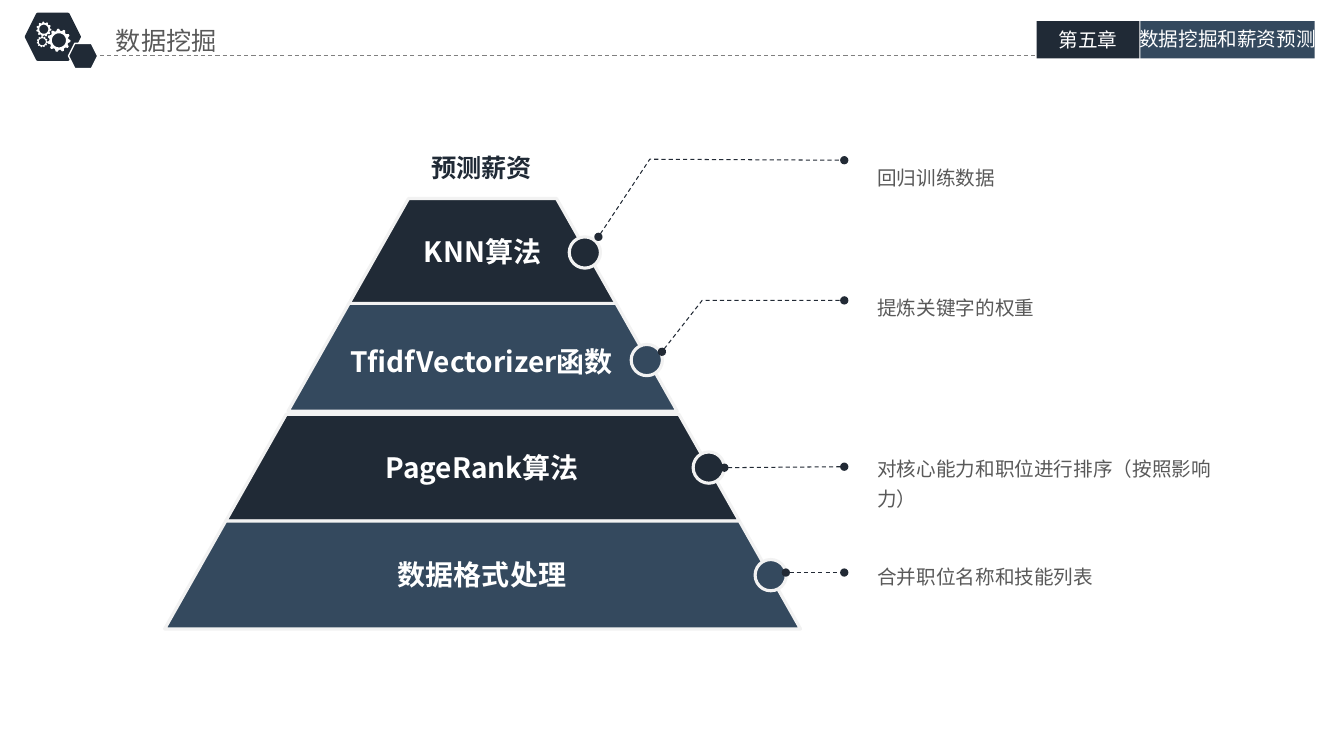
"""Build the data-mining pyramid slide with its callouts and chapter header."""
from math import cos, pi, sin

from lxml.etree import SubElement
from pptx import Presentation
from pptx.dml.color import RGBColor
from pptx.enum.dml import MSO_LINE
from pptx.enum.shapes import MSO_CONNECTOR, MSO_SHAPE as SHAPE
from pptx.enum.text import PP_ALIGN as ALIGN
from pptx.oxml.ns import qn
from pptx.util import Inches, Pt

NAVY, STEEL, WHITE, GREY = "202A36", "34495E", "FFFFFF", "595959"
RIM, LEADER, RULE = "F2F2F2", "222A35", "808080"
CJK = "Noto Sans CJK SC"
rgb = RGBColor.from_string

deck = Presentation()
deck.slide_width, deck.slide_height = Inches(13.34), Inches(7.5)
shapes = deck.slides.add_slide(deck.slide_layouts[6]).shapes


def paint(shape, fill, line=None, width=0):
    shape.shadow.inherit = False
    shape.fill.solid()
    shape.fill.fore_color.rgb = rgb(fill)
    if line:
        shape.line.color.rgb = rgb(line)
        shape.line.width = Pt(width)
    else:
        shape.line.fill.background()


def write(text, box, size, color, align=ALIGN.LEFT, bold=False,
          inset=(0.07, 0.04), spacing=1.0, wrap=True, face=CJK):
    frame = shapes.add_textbox(*map(Inches, box)).text_frame
    frame.word_wrap = wrap
    frame.margin_left = frame.margin_right = Inches(inset[0])
    frame.margin_top = frame.margin_bottom = Inches(inset[1])
    paragraph = frame.paragraphs[0]
    paragraph.text = text
    paragraph.alignment = align
    paragraph.line_spacing = spacing
    font = paragraph.font
    font.size, font.bold, font.name = Pt(size), bold, face
    font.color.rgb = rgb(color)
    SubElement(font._element, qn("a:ea"), typeface=CJK)


bands = [
    (1.97, 3.04, NAVY, "KNN算法", (3.77, 2.3, 2.04, 0.4), ALIGN.CENTER),
    (3.01, 4.08, STEEL, "TfidfVectorizer函数", (3.41, 3.39, 3.13, 0.4), ALIGN.LEFT),
    (4.11, 5.17, NAVY, "PageRank算法", (3.22, 4.44, 3.13, 0.4), ALIGN.CENTER),
    (5.17, 6.24, STEEL, "数据格式处理", (3.22, 5.5, 3.13, 0.4), ALIGN.CENTER),
]
axis, apex_half, slope = 4.79, 0.735, 0.567
for top, bottom, color, *_ in bands:
    upper = apex_half + slope * (top - 1.97)
    lower = apex_half + slope * (bottom - 1.97)
    outline = shapes.build_freeform(Inches(axis - upper), Inches(top))
    outline.add_line_segments([(Inches(x), Inches(y)) for x, y in (
        (axis - lower, bottom), (axis + lower, bottom), (axis + upper, top))])
    paint(outline.convert_to_shape(), color, RIM, 2.25)

for level, (_, _, color, label, box, align) in enumerate(bands):
    knob = shapes.add_shape(SHAPE.OVAL, Inches(5.65 + 0.615 * level),
                            Inches(2.35 + 1.067 * level), Inches(0.31), Inches(0.31))
    paint(knob, color, RIM, 2.25)
    write(label, box, 20, WHITE, align, bold=True, inset=(0.07, 0.03))

write("预测薪资", (4.18, 1.46, 1.21, 0.4), 18, NAVY, bold=True,
      inset=(0.1, 0.05), wrap=False, face="Arial")

for text, top, width in [
    ("回归训练数据", 1.53, 3.26),
    ("提炼关键字的权重", 2.82, 3.26),
    ("对核心能力和职位进行排序（按照影响力）", 4.41, 3.88),
    ("合并职位名称和技能列表", 5.49, 3.26),
]:
    write(text, (8.61, top, width, 0.38), 14, GREY, inset=(0.1, 0.05), spacing=1.3)

for route, color, dotted_ends in [
    ([(5.94, 2.35), (6.45, 1.58), (8.38, 1.59)], LEADER, True),
    ([(6.57, 3.49), (6.97, 2.98), (8.38, 2.98)], LEADER, True),
    ([(7.19, 4.64), (8.38, 4.63)], LEADER, True),
    ([(7.8, 5.68), (8.38, 5.68)], LEADER, True),
    ([(0.92, 0.55), (10.29, 0.55)], RULE, False),
]:
    start, *rest = [(Inches(x), Inches(y)) for x, y in route]
    if len(rest) == 1:
        leader = shapes.add_connector(MSO_CONNECTOR.STRAIGHT, *start, *rest[0])
    else:
        bend = shapes.build_freeform(*start)
        bend.add_line_segments(rest, close=False)
        leader = bend.convert_to_shape()
        leader.fill.background()
    leader.line.color.rgb = rgb(color)
    leader.line.width = Pt(0.75)
    leader.line.dash_style = MSO_LINE.DASH
    if dotted_ends:
        for end in ("a:headEnd", "a:tailEnd"):
            SubElement(leader.line._get_or_add_ln(), qn(end), type="oval")
    SubElement(leader._element.spPr, qn("a:effectLst"))

for kind, box, fill, line, width in [
    (SHAPE.HEXAGON, (0.26, 0.14, 0.53, 0.45), NAVY, NAVY, 2),
    (SHAPE.RECTANGLE, (10.29, 0.21, 1.02, 0.37), NAVY, None, 0),
    (SHAPE.RECTANGLE, (11.32, 0.21, 1.73, 0.37), STEEL, None, 0),
    (SHAPE.HEXAGON, (0.68, 0.43, 0.29, 0.25), NAVY, WHITE, 1),
]:
    paint(shapes.add_shape(kind, *map(Inches, box)), fill, line, width)

write("数据挖掘", (1.08, 0.21, 2.05, 0.38), 18, GREY)
write("第五章", (10.29, 0.24, 1.02, 0.31), 14, WHITE, ALIGN.CENTER)
write("数据挖掘和薪资预测", (11.17, 0.23, 2.03, 0.31), 14, WHITE, ALIGN.CENTER)

teeth = 11
for x, y, tip, hole in [(0.585, 0.4, 0.115, 0.07), (0.435, 0.29, 0.075, 0.045),
                        (0.42, 0.415, 0.055, 0.035)]:
    steps = teeth * 4
    rim, bore = [
        [(Inches(x + radius * cos(2 * pi * step / steps)),
          Inches(y + radius * sin(2 * pi * step / steps)))
         for step in range(steps)
         for radius in [outer if step % 4 < 2 else inner]]
        for outer, inner in ((tip, tip * 0.82), (hole, hole))]
    gear = shapes.build_freeform(*rim[0])
    gear.add_line_segments(rim[1:])
    gear.move_to(*bore[0])
    gear.add_line_segments(bore[:0:-1])
    paint(gear.convert_to_shape(), WHITE)

deck.save("out.pptx")
